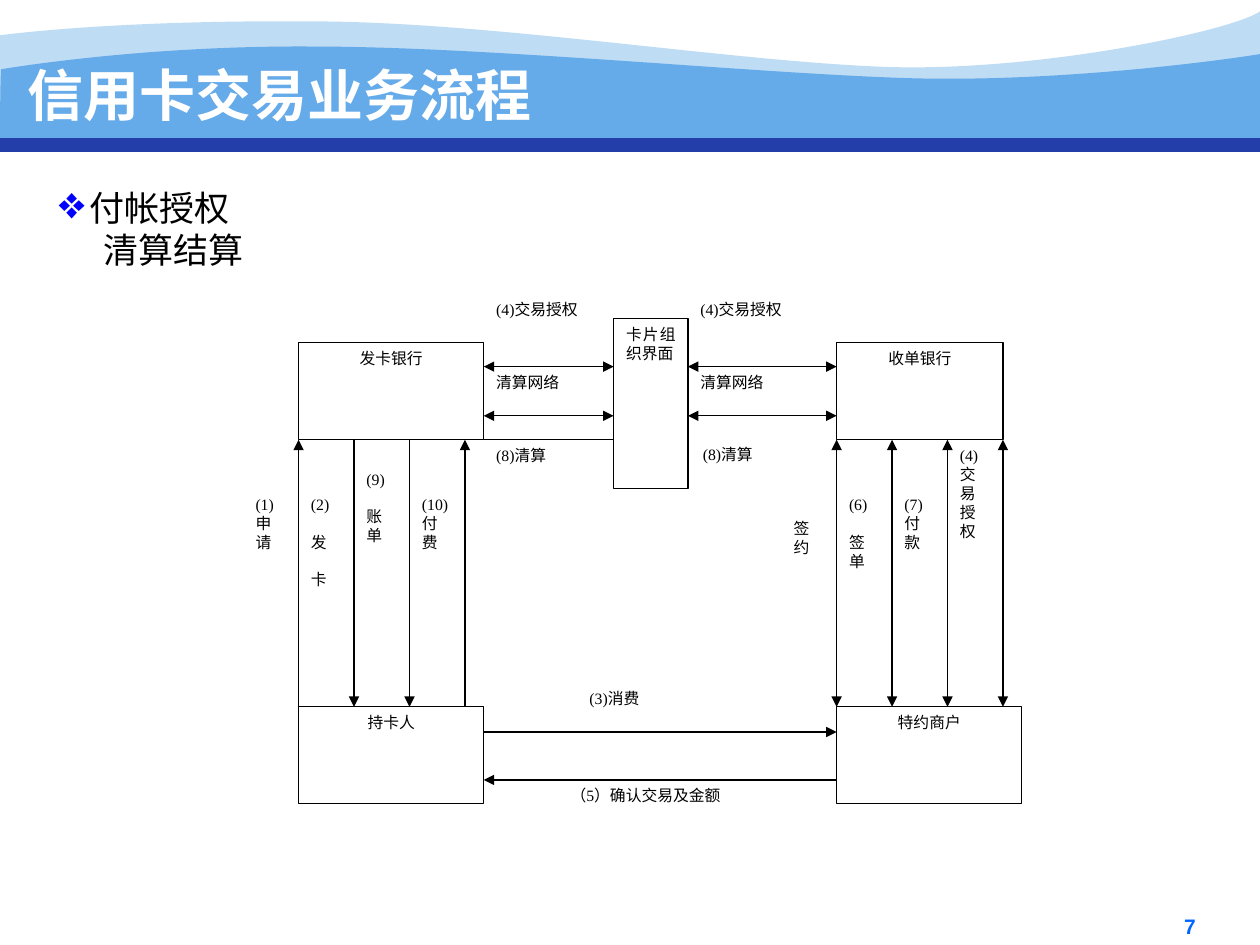
from typing import NamedTuple

from lxml.etree import SubElement
from pptx import Presentation
from pptx.dml.color import RGBColor
from pptx.enum.shapes import MSO_CONNECTOR as CONN, MSO_SHAPE as SHAPE
from pptx.enum.text import MSO_ANCHOR as ANCHOR, PP_ALIGN as ALIGN
from pptx.oxml.ns import qn
from pptx.util import Inches, Pt

SERIF, MONO, SANS = "Times New Roman", "DejaVu Sans Mono", "Arial"
BLACK, WHITE, SKY, NAVY = "000000", "FFFFFF", "65AAE9", "233DA9"
BLANK_LINE = 10.5


class Box(NamedTuple):
    x: float
    y: float
    w: float
    h: float
    lines: tuple[str, ...]
    align: ALIGN = ALIGN.JUSTIFY
    border: bool = False
    gap: float = 0


class Arrow(NamedTuple):
    x1: float
    y1: float
    x2: float
    y2: float
    both: bool = False


ISSUER_X, ISSUER_R, CARD_X, CARD_R, SHOP_X = 2.37, 3.84, 4.87, 5.46, 6.64
BANK_Y, BANK_B, CLIENT_Y = 2.72, 3.49, 5.61
STEP, BOX_H, NOTE_W, NOTE_H = 0.44, 0.77, 1.03, 0.58
NETWORK_YS = (2.91, 3.3)

LABELS = [
    Box(ISSUER_X - STEP, 3.88, STEP, 1.54, ("(1)", "申", "请")),
    Box(ISSUER_X, 3.88, STEP, 1.54, ("(2)", "发", "卡"), gap=BLANK_LINE),
    Box(ISSUER_X + STEP, 3.68, STEP, 1.54, ("(9)", "账单"), gap=BLANK_LINE),
    Box(ISSUER_X + 2 * STEP, 3.88, 0.59, 1.54, ("(10)", "付", "费")),
    Box(4.43, 6.19, 1.62, NOTE_H, ("（5）确认交易及金额",)),
    Box(4.58, 5.42, NOTE_W, NOTE_H, ("(3)消费",)),
    Box(SHOP_X, 3.88, STEP, 1.35, ("(6)", "签", "单")),
    Box(SHOP_X + STEP, 3.88, STEP, 1.35, ("(7)", "付款")),
    Box(SHOP_X + 2 * STEP, BANK_B, STEP, 2.12, ("(4)", "交易", "授权")),
    Box(SHOP_X - STEP, 4.07, STEP, 1.16, ("签约",)),
    Box(5.48, 3.48, NOTE_W, 0.47, ("(8)清算",)),
    Box(CARD_R, 2.91, NOTE_W, NOTE_H, ("清算网络",)),
    Box(CARD_R, 2.33, NOTE_W, NOTE_H, ("(4)交易授权",)),
    Box(ISSUER_R, BANK_B, NOTE_W, NOTE_H, ("(8)清算",)),
    Box(ISSUER_R, 2.91, NOTE_W, NOTE_H, ("清算网络",), border=True),
    Box(ISSUER_R, 2.33, NOTE_W, NOTE_H, ("(4)交易授权",)),
]
LABELS[6] = LABELS[6]._replace(gap=BLANK_LINE, lines=("(6)", "签单"))
PARTIES = [
    Box(ISSUER_X, BANK_Y, 1.47, BOX_H, ("发卡银行",), ALIGN.CENTER, True),
    Box(CARD_X, 2.53, 0.59, 1.35, ("卡片组织界面",), border=True),
    Box(SHOP_X, BANK_Y, 1.32, BOX_H, ("收单银行",), ALIGN.CENTER, True),
    Box(ISSUER_X, CLIENT_Y, 1.47, BOX_H, ("持卡人",), ALIGN.CENTER, True),
    Box(SHOP_X, CLIENT_Y, 1.47, BOX_H, ("特约商户",), ALIGN.CENTER, True),
]
ARROWS = [
    *(Arrow(x1, y, x2, y, True)
      for x1, x2 in ((ISSUER_R, CARD_X), (CARD_R, SHOP_X)) for y in NETWORK_YS),
    *(Arrow(ISSUER_X + i * STEP, CLIENT_Y, ISSUER_X + i * STEP, BANK_B) for i in (0, 3)),
    *(Arrow(ISSUER_X + i * STEP, BANK_B, ISSUER_X + i * STEP, CLIENT_Y) for i in (1, 2)),
    *(Arrow(SHOP_X + i * STEP, BANK_B, SHOP_X + i * STEP, CLIENT_Y, True) for i in range(4)),
    Arrow(ISSUER_R, 5.81, SHOP_X, 5.81),
    Arrow(SHOP_X, 6.19, ISSUER_R, 6.19),
]

BACK_WAVE = [
    [(0, 0.28)],
    [(0.24, 0.25), (1.07, 0.16), (2.47, 0.17)],
    [(3.86, 0.17), (5.75, 0.48), (6.99, 0.53)],
    [(8.22, 0.58), (9.8, 0.24), (10, 0.09)],
    [(10, 1.43)],
    [(8.58, 1.61), (7.87, 1.55), (7.05, 1.53)],
    [(6.22, 1.51), (5.15, 1.29), (3.43, 1.26)],
    [(1.72, 1.22), (0.04, 1.77), (0.01, 1.81)],
    [(-0.01, 1.86), (0, 0.53), (0, 0.28)],
]
FRONT_WAVE = [
    [(0.01, 0.55)],
    [(0.02, 0.55), (1.1, 0.36), (2.48, 0.37)],
    [(3.86, 0.37), (5.95, 0.58), (7.18, 0.62)],
    [(8.41, 0.66), (9.76, 0.47), (10, 0.43)],
    [(10, 1.33)],
    [(8.53, 1.46), (7.65, 1.43), (6.82, 1.39)],
    [(5.99, 1.36), (4.47, 1.14), (3.17, 1.15)],
    [(2.03, 1.15), (-0.02, 1.44), (-0.01, 1.44)],
    [(0, 1.44), (0, 0.55), (0.01, 0.55)],
]


def rgb(value: str) -> RGBColor:
    return RGBColor.from_string(value)


def style(sp, fill: str, border: bool = False) -> None:
    sp.shadow.inherit = False
    sp.fill.solid()
    sp.fill.fore_color.rgb = rgb(fill)
    if border:
        sp.line.color.rgb = rgb(BLACK)
        sp.line.width = Pt(0.75)
    else:
        sp.line.fill.background()


def add_run(p, text: str, font: str, size: float, color: str, bold: bool = False) -> None:
    r = p.add_run()
    r.text = text
    r.font.name, r.font.size, r.font.bold = font, Pt(size), bold
    r.font.color.rgb = rgb(color)


def add_wave(s, segments, alpha: int = 100) -> None:
    points = [(Inches(x), Inches(y)) for segment in segments for x, y in segment]
    builder = s.shapes.build_freeform(*points[0])
    builder.add_line_segments(points[1:], close=True)
    sp = builder.convert_to_shape()
    steps = iter(list(sp._element.spPr.iter(qn("a:lnTo"))))
    for segment in segments[1:]:
        first, *rest = [next(steps) for _ in segment]
        if rest:
            first.tag = qn("a:cubicBezTo")
        for step in rest:
            first.append(step[0])
            step.getparent().remove(step)
    style(sp, SKY)
    if alpha < 100:
        color = next(sp._element.spPr.iter(qn("a:srgbClr")))
        SubElement(color, qn("a:alpha"), val=str(alpha * 1000))


def add_line(s, a: Arrow, color: str, width: float):
    line = s.shapes.add_connector(CONN.STRAIGHT, *map(Inches, a[:4]))
    line.line.color.rgb = rgb(color)
    line.line.width = Pt(width)
    SubElement(line._element.spPr, qn("a:effectLst"))
    return line


def add_arrow(s, a: Arrow) -> None:
    ln = add_line(s, a, BLACK, 0.75).line._get_or_add_ln()
    for tag in ("a:headEnd", "a:tailEnd") if a.both else ("a:tailEnd",):
        SubElement(ln, qn(tag), type="triangle")


def add_box(s, b: Box) -> None:
    sp = s.shapes.add_shape(SHAPE.RECTANGLE, *map(Inches, b[:4]))
    style(sp, WHITE, b.border)
    tf = sp.text_frame
    tf.word_wrap = True
    tf.vertical_anchor = ANCHOR.TOP
    for i, text in enumerate(b.lines):
        p = tf.add_paragraph() if i else tf.paragraphs[0]
        p.alignment = b.align
        if i and b.gap:
            p.space_before = Pt(b.gap)
        add_run(p, text, SERIF, 9, BLACK)


def add_text_frame(s, x: float, y: float, w: float, h: float, wrap: bool = True):
    tf = s.shapes.add_textbox(*map(Inches, (x, y, w, h))).text_frame
    tf.word_wrap = wrap
    return tf


def add_topics(s) -> None:
    tf = add_text_frame(s, 0.35, 1.47, 4.73, 1.02)
    tf.margin_top = Inches(0.01)
    first, second = tf.paragraphs[0], tf.add_paragraph()
    pPr = first._p.get_or_add_pPr()
    pPr.set("marL", str(Inches(0.26)))
    pPr.set("indent", str(-Inches(0.24)))
    SubElement(SubElement(pPr, qn("a:buClr")), qn("a:srgbClr"), val="0000FF")
    SubElement(pPr, qn("a:buSzPct"), val="130000")
    SubElement(pPr, qn("a:buChar"), char="❖")
    second._p.get_or_add_pPr().set("marL", str(Inches(0.37)))
    add_run(first, "付帐授权", MONO, 20, BLACK)
    add_run(second, "清算结算", MONO, 20, BLACK)


def main() -> None:
    prs = Presentation()
    prs.slide_width, prs.slide_height = Inches(10), Inches(7.5)
    s = prs.slides.add_slide(prs.slide_layouts[6])
    add_wave(s, BACK_WAVE, 41)
    add_wave(s, FRONT_WAVE)
    style(s.shapes.add_shape(SHAPE.RECTANGLE, *map(Inches, (0, 1.15, 10, 0.71))), WHITE)
    add_line(s, Arrow(0, 1.15, 10, 1.15), NAVY, 8)
    number = add_text_frame(s, 9.3, 7.2, 1, 0.3, wrap=False)
    add_run(number.paragraphs[0], "7", SANS, 12, "0066FF", True)
    title = add_text_frame(s, 0.12, 0.44, 8.43, 0.62)
    title.vertical_anchor = ANCHOR.MIDDLE
    add_run(title.paragraphs[0], "信用卡交易业务流程", MONO, 32, WHITE, True)
    for box in LABELS + PARTIES:
        add_box(s, box)
    for arrow in ARROWS:
        add_arrow(s, arrow)
    add_topics(s)
    prs.save("out.pptx")


if __name__ == "__main__":
    main()
